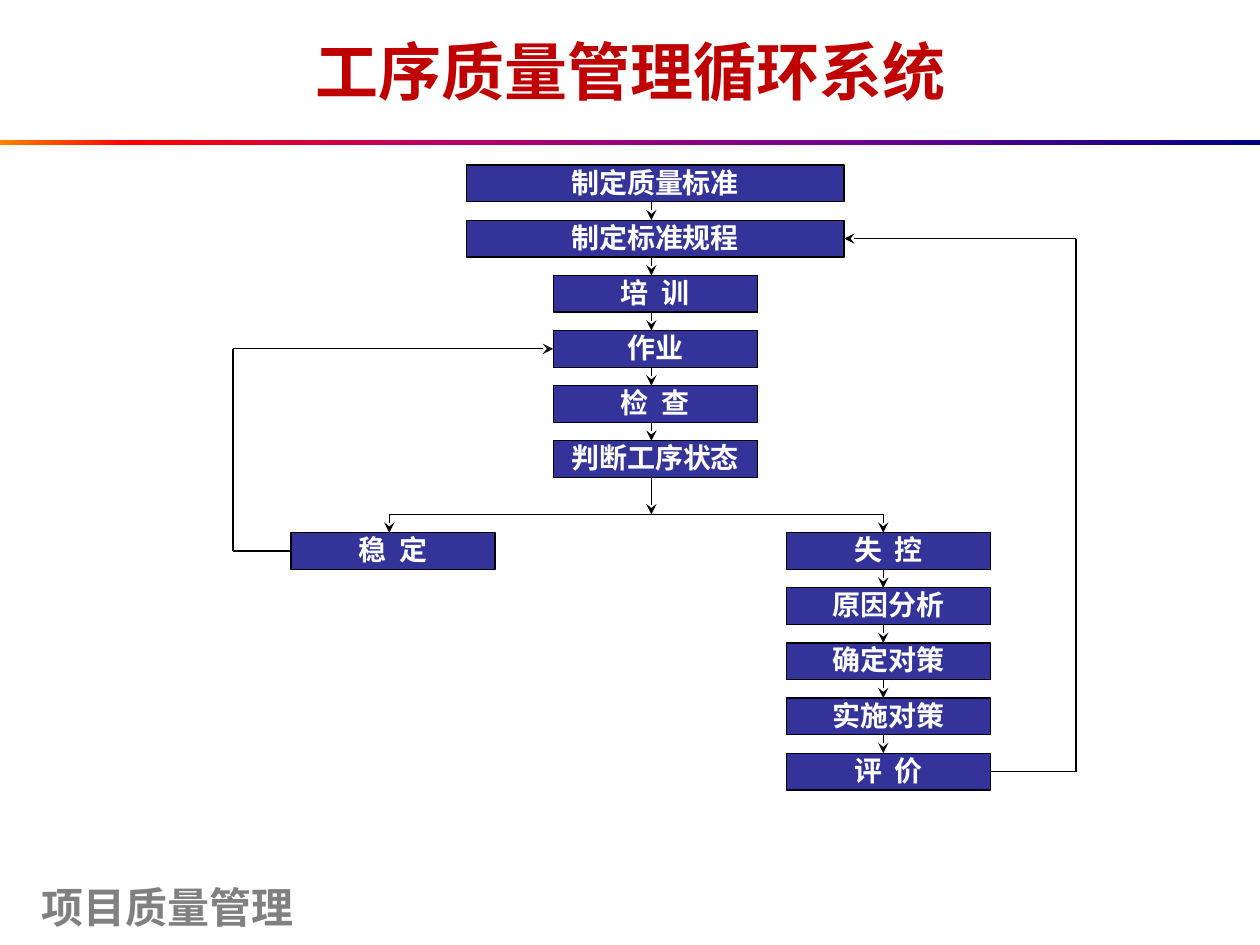
from dataclasses import dataclass

from lxml.etree import SubElement
from pptx import Presentation
from pptx.dml.color import RGBColor as Color
from pptx.enum.shapes import MSO_CONNECTOR as Connector, MSO_SHAPE as Preset
from pptx.enum.text import MSO_ANCHOR as Anchor, PP_ALIGN as Align
from pptx.oxml.ns import qn
from pptx.util import Inches, Pt


@dataclass(frozen=True)
class Theme:
    heading_font: str = "Arial"
    step_font: str = "Times New Roman"
    title_size: int = 36
    footer_size: int = 24
    step_size: int = 16
    line_width: float = 0.75
    title: str = "C00000"
    footer: str = "808080"
    step_text: str = "FFFFFF"
    step_fill: str = "333399"
    line: str = "000000"
    band: tuple = ((0, "FF8200"), (10, "FF0000"), (35, "BA0066"),
                   (70, "66008F"), (100, "000082"))


THEME = Theme()
WIDTH, HEIGHT = 10, 7.5
TITLE = "工序质量管理循环系统"
FOOTER = "项目质量管理"

WIDE, NARROW = 3, 1.62
COLUMNS = {
    "plan": (3.7, WIDE, 5.17),
    "work": (4.39, NARROW, 5.17),
    "stable": (2.31, NARROW, 3.09),
    "failed": (6.24, NARROW, 7.01),
}
STEPS = [
    ("制定质量标准", "plan", 0),
    ("制定标准规程", "plan", 3),
    ("培  训", "work", 6),
    ("作业", "work", 9),
    ("检  查", "work", 12),
    ("判断工序状态", "work", 15),
    ("稳  定", "stable", 20),
    ("失  控", "failed", 20),
    ("原因分析", "failed", 23),
    ("确定对策", "failed", 26),
    ("实施对策", "failed", 29),
    ("评  价", "failed", 32),
]
BOX_ROWS, GAP_ROWS = 2, 1
SPLIT_ROW = 19
TOP, BOTTOM, ROW_COUNT = 1.31, 6.27, 34
LEFT_LANE, RIGHT_LANE = 1.85, 8.54


def row_y(row):
    return TOP + row * (BOTTOM - TOP) / ROW_COUNT


def write(shape, text, font, size, color, anchor, align):
    frame = shape.text_frame
    frame.word_wrap = True
    frame.vertical_anchor = anchor
    para = frame.paragraphs[0]
    para.text = text
    para.alignment = align
    para.font.name = font
    para.font.size = Pt(size)
    para.font.bold = True
    para.font.color.rgb = Color.from_string(color)
    return frame


def add_heading(page, area, text, size, color, align):
    box = page.shapes.add_textbox(*map(Inches, area))
    write(box, text, THEME.heading_font, size, color, Anchor.MIDDLE, align)


def add_rectangle(page, *area):
    box = page.shapes.add_shape(Preset.RECTANGLE, *map(Inches, area))
    box.shadow.inherit = False
    return box


def add_band(page):
    band = add_rectangle(page, 0, 1.11, WIDTH, 0.04)
    band.line.fill.background()
    band.fill.gradient()
    band.fill.gradient_angle = 0
    stops = band._element.spPr.find(f".//{qn('a:gsLst')}")
    for stop in list(stops):
        stops.remove(stop)
    for percent, color in THEME.band:
        stop = SubElement(stops, qn("a:gs"), pos=str(percent * 1000))
        SubElement(stop, qn("a:srgbClr"), val=color)


def add_step(page, text, column, row):
    left, width, _ = COLUMNS[column]
    height = row_y(BOX_ROWS) - row_y(0)
    box = add_rectangle(page, left, row_y(row), width, height)
    box.fill.solid()
    box.fill.fore_color.rgb = Color.from_string(THEME.step_fill)
    box.line.color.rgb = Color.from_string(THEME.line)
    box.line.width = Pt(THEME.line_width)
    frame = write(box, text, THEME.step_font, THEME.step_size,
                  THEME.step_text, Anchor.TOP, Align.CENTER)
    frame.margin_left = frame.margin_right = 0
    frame.margin_top = frame.margin_bottom = 0


def add_line(page, start, end, arrow=False):
    line = page.shapes.add_connector(
        Connector.STRAIGHT, *map(Inches, (*start, *end)))
    line.line.color.rgb = Color.from_string(THEME.line)
    line.line.width = Pt(THEME.line_width)
    if arrow:
        SubElement(line.line._get_or_add_ln(), qn("a:tailEnd"), type="stealth")
    SubElement(line._element.spPr, qn("a:effectLst"))


def add_route(page, *points):
    last = len(points) - 2
    for index, (start, end) in enumerate(zip(points, points[1:])):
        add_line(page, start, end, arrow=index == last)


def add_flow(page):
    for text, column, row in STEPS:
        add_step(page, text, column, row)
        if row:
            axis = COLUMNS[column][2]
            add_line(page, (axis, row_y(row - GAP_ROWS)),
                     (axis, row_y(row)), arrow=True)

    work_left, _, work_axis = COLUMNS["work"]
    stable_left, _, stable_axis = COLUMNS["stable"]
    failed_left, failed_width, failed_axis = COLUMNS["failed"]
    plan_left, plan_width, _ = COLUMNS["plan"]
    middle = {text: row_y(row + BOX_ROWS / 2) for text, _, row in STEPS}
    split = row_y(SPLIT_ROW)

    add_line(page, (work_axis, row_y(15 + BOX_ROWS)), (work_axis, split), arrow=True)
    add_line(page, (stable_axis, split), (failed_axis, split))
    add_route(page,
              (stable_left, middle["稳  定"]),
              (LEFT_LANE, middle["稳  定"]),
              (LEFT_LANE, middle["作业"]),
              (work_left, middle["作业"]))
    add_route(page,
              (failed_left + failed_width, middle["评  价"]),
              (RIGHT_LANE, middle["评  价"]),
              (RIGHT_LANE, middle["制定标准规程"]),
              (plan_left + plan_width, middle["制定标准规程"]))


def main():
    deck = Presentation()
    deck.slide_width, deck.slide_height = Inches(WIDTH), Inches(HEIGHT)
    page = deck.slides.add_slide(deck.slide_layouts[6])
    add_heading(page, (0.23, 6.95, 2.5, 0.5), FOOTER,
                THEME.footer_size, THEME.footer, Align.LEFT)
    add_band(page)
    add_heading(page, (0.51, 0.05, 8.98, 1.02), TITLE,
                THEME.title_size, THEME.title, Align.CENTER)
    add_flow(page)
    deck.save("out.pptx")


if __name__ == "__main__":
    main()
